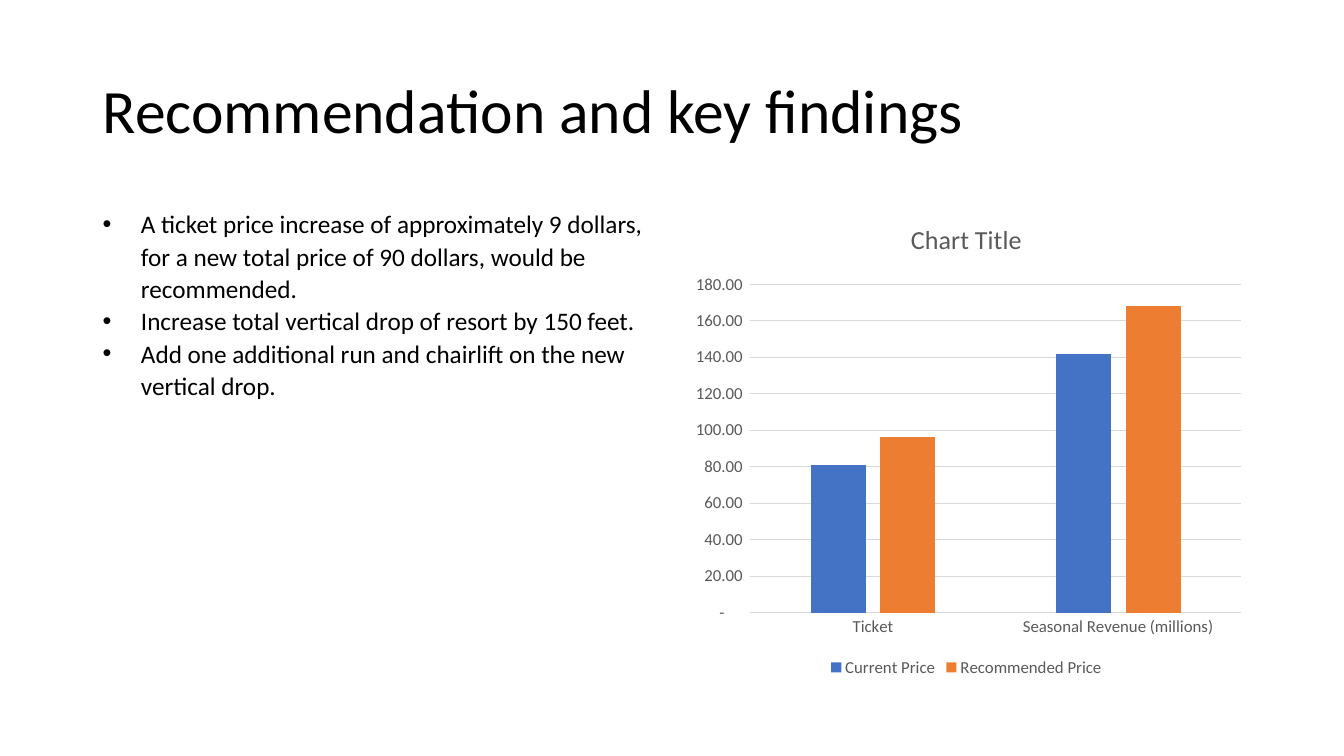
from lxml import etree
from pptx import Presentation
from pptx.chart.data import CategoryChartData
from pptx.dml.color import RGBColor
from pptx.enum.chart import XL_CHART_TYPE as ChartType
from pptx.enum.chart import XL_LEGEND_POSITION as LegendPosition
from pptx.enum.chart import XL_TICK_MARK as TickMark
from pptx.enum.text import MSO_ANCHOR as Anchor
from pptx.oxml.ns import qn
from pptx.util import Inches, Pt

BLACK = RGBColor(0x00, 0x00, 0x00)
GRAY = RGBColor(0x59, 0x59, 0x59)
LIGHT_GRAY = RGBColor(0xD9, 0xD9, 0xD9)
BLUE = RGBColor(0x44, 0x72, 0xC4)
ORANGE = RGBColor(0xED, 0x7D, 0x31)

FONT = "Calibri"
MONEY_FORMAT = '_(* #,##0.00_);_(* \\(#,##0.00\\);_(* "-"??_);_(@_)'
FINDINGS = [
    "A ticket price increase of approximately 9 dollars, for a new total "
    "price of 90 dollars, would be recommended.",
    "Increase total vertical drop of resort by 150 feet.",
    "Add one additional run and chairlift on the new vertical drop.",
]
MEASURES = ["Ticket", "Seasonal Revenue (millions)"]
PRICES = [
    ("Current Price", (81, 142), BLUE),
    ("Recommended Price", (96, 168), ORANGE),
]


def set_format(target, formats):
    for name, value in formats.items():
        setattr(target, name, value)


def set_font(font, size, color):
    set_format(font, {"name": FONT, "size": Pt(size)})
    font.color.rgb = color


def set_line(line, color, width):
    line.color.rgb = color
    line.width = Pt(width)


def add_text(slide, box, lines, size, spacing, anchor):
    """Add a text box with one paragraph per line and return its paragraphs."""
    frame = slide.shapes.add_textbox(*map(Inches, box)).text_frame
    set_format(frame, {"word_wrap": True, "vertical_anchor": anchor})
    frame.text = "\n".join(lines)
    for paragraph in frame.paragraphs:
        paragraph.line_spacing = spacing
        set_font(paragraph.runs[0].font, size, BLACK)
    return frame.paragraphs


def add_bullet(paragraph, indent):
    properties = paragraph._p.get_or_add_pPr()
    properties.set("marL", str(Inches(indent)))
    properties.set("indent", str(-Inches(indent)))
    etree.SubElement(properties, qn("a:buFont")).set("typeface", "Arial")
    etree.SubElement(properties, qn("a:buChar")).set("char", "•")


def format_axis(axis):
    set_format(axis, {"major_tick_mark": TickMark.NONE,
                      "minor_tick_mark": TickMark.NONE})
    set_font(axis.tick_labels.font, 12, GRAY)


def add_price_chart(slide, box):
    data = CategoryChartData(number_format=MONEY_FORMAT)
    data.categories = MEASURES
    for name, values, _ in PRICES:
        data.add_series(name, values)
    chart = slide.shapes.add_chart(
        ChartType.COLUMN_CLUSTERED, *map(Inches, box), data).chart
    set_font(chart.font, 10, BLACK)

    title = chart.chart_title
    title.include_text_in_layout = False
    title.text_frame.text = "Chart Title"
    title_font = title.text_frame.paragraphs[0].runs[0].font
    set_font(title_font, 18.6, GRAY)
    title_font.bold = False

    format_axis(chart.category_axis)
    set_line(chart.category_axis.format.line, LIGHT_GRAY, 0.75)
    value_axis = chart.value_axis
    format_axis(value_axis)
    set_format(value_axis, {"minimum_scale": 0, "maximum_scale": 180,
                            "major_unit": 20})
    value_axis.format.line.fill.background()
    set_line(value_axis.major_gridlines.format.line, LIGHT_GRAY, 0.75)
    set_format(value_axis.tick_labels, {"number_format": MONEY_FORMAT,
                                        "number_format_is_linked": False})

    chart.has_legend = True
    set_format(chart.legend, {"position": LegendPosition.BOTTOM,
                              "include_in_layout": False})
    set_font(chart.legend.font, 12, GRAY)

    columns = chart.plots[0]
    set_format(columns, {"gap_width": 219, "overlap": -27,
                         "vary_by_categories": False})
    for series, (_, _, color) in zip(columns.series, PRICES):
        series.format.fill.solid()
        series.format.fill.fore_color.rgb = color


def main():
    presentation = Presentation()
    set_format(presentation, {"slide_width": Inches(13.33),
                              "slide_height": Inches(7.5)})
    slide = presentation.slides.add_slide(presentation.slide_layouts[6])
    add_text(slide, (0.92, 0.4, 11.5, 1.45),
             ["Recommendation and key findings"], 44, 0.9, Anchor.MIDDLE)
    findings = add_text(slide, (0.92, 2, 5.67, 4.76),
                        FINDINGS, 18, 1.07, Anchor.TOP)
    for finding in findings:
        add_bullet(finding, 0.38)
    add_price_chart(slide, (6.75, 2, 5.67, 4.76))
    presentation.save("out.pptx")


if __name__ == "__main__":
    main()
